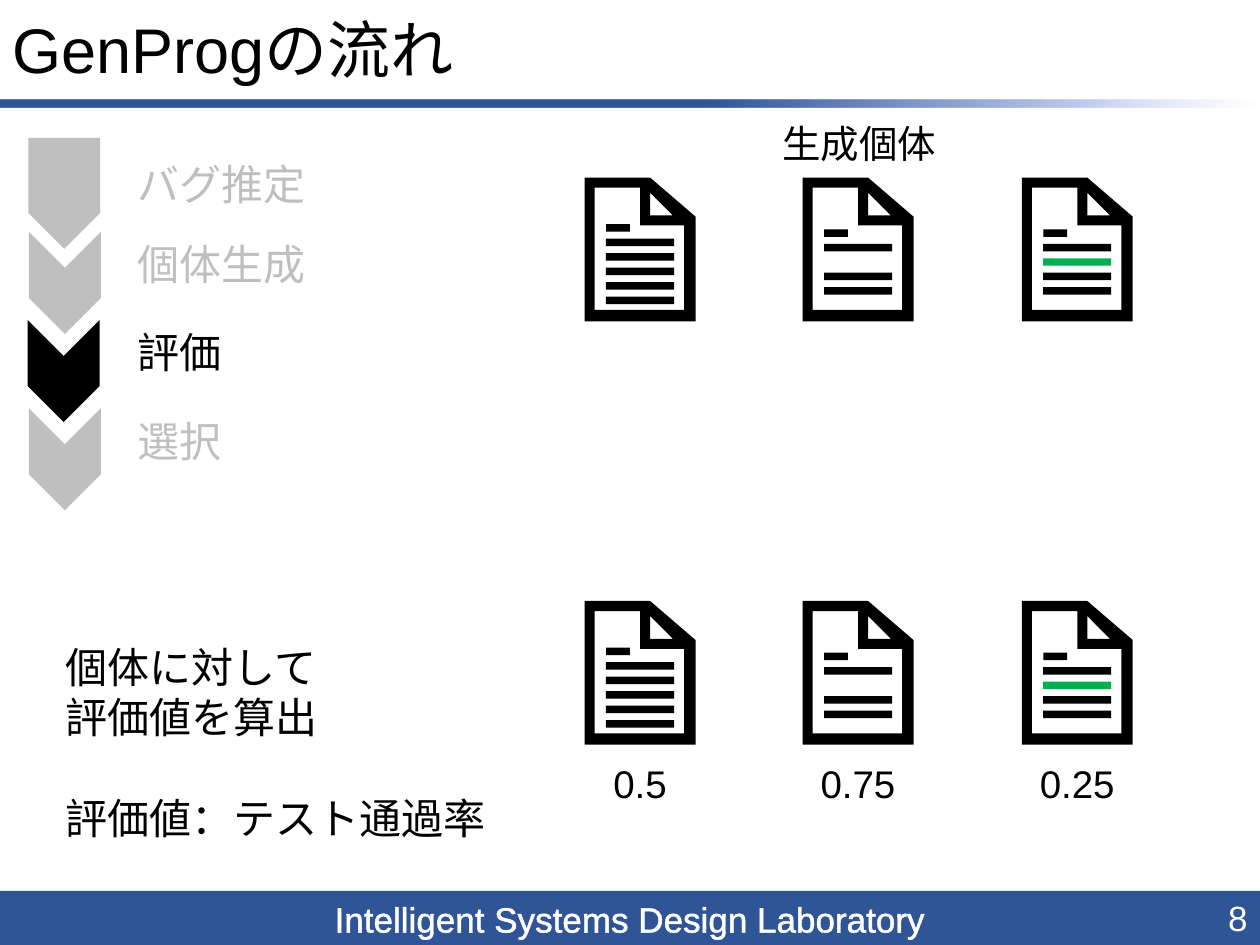
from lxml import etree
from pptx import Presentation
from pptx import util as u
from pptx.dml.color import RGBColor
from pptx.enum import shapes, text
from pptx.oxml import ns

Inches = u.Inches
LEFT, CENTER, RIGHT = text.PP_ALIGN.LEFT, text.PP_ALIGN.CENTER, text.PP_ALIGN.RIGHT
BLUE, GREY, BLACK, WHITE, GREEN = "2F5597", "BFBFBF", "000000", "FFFFFF", "00B050"


def paint(target, color):
    target.fill.solid()
    target.fill.fore_color.rgb = RGBColor.from_string(color)


def write(box, words, size, color, align=LEFT, wrap=True):
    box.text_frame.text = words
    box.text_frame.word_wrap = wrap
    for paragraph in box.text_frame.paragraphs:
        paragraph.alignment = align
        for run in paragraph.runs:
            run.font.size = u.Pt(size)
            run.font.name = "Arial"
            paint(run.font, color)


deck = Presentation()
deck.slide_width, deck.slide_height = Inches(10), Inches(7.5)
slide = deck.slides.add_slide(deck.slide_layouts[5])
canvas = slide.shapes

footer = canvas.add_shape(shapes.MSO_SHAPE.RECTANGLE, 0, Inches(7.07), Inches(10), Inches(0.44))
paint(footer, BLUE)
write(footer, "Intelligent Systems Design Laboratory", 20, WHITE, CENTER)
footer_font = footer.text_frame.paragraphs[0].runs[0].font
outline = etree.fromstring(
    f'<a:ln {ns.nsdecls("a")} w="9525"><a:solidFill><a:srgbClr val="{WHITE}"/></a:solidFill></a:ln>')
footer.text_frame.paragraphs[0].runs[0]._r.get_or_add_rPr().insert(0, outline)

rule = canvas.add_shape(shapes.MSO_SHAPE.RECTANGLE, 0, Inches(0.79), Inches(10), Inches(0.06))
rule.fill.gradient()
rule.fill.gradient_angle = 0
stops = rule.fill._fill._gradFill.find(ns.qn("a:gsLst"))
for stop in list(stops):
    stops.remove(stop)
for position, color, alpha in [(56, BLUE, 100), (86, "C0CBF0", 100), (100, "E0E5F7", 0)]:
    stop = etree.SubElement(stops, ns.qn("a:gs"), pos=str(position * 1000))
    shade = etree.SubElement(stop, ns.qn("a:srgbClr"), val=color)
    etree.SubElement(shade, ns.qn("a:alpha"), val=str(alpha * 1000))

title = canvas.title
title.left, title.top, title.width, title.height = 0, Inches(0.05), Inches(10), Inches(0.74)
write(title, "GenProgの流れ", 36, BLACK)
title.text_frame.vertical_anchor = text.MSO_ANCHOR.MIDDLE
title.text_frame.paragraphs[0].line_spacing = 0.9

page = canvas.add_textbox(Inches(7.75), Inches(7.07), Inches(2.25), Inches(0.43))
write(page, "8", 20, WHITE, RIGHT)
page.text_frame.vertical_anchor = text.MSO_ANCHOR.MIDDLE

PENTAGON, CHEVRON = shapes.MSO_SHAPE.PENTAGON, shapes.MSO_SHAPE.CHEVRON
steps = [
    ("バグ推定", PENTAGON, 0.07, 1.25, 0.88, 1.21, GREY),
    ("個体生成", CHEVRON, 0.11, 1.96, 0.81, 1.84, GREY),
    ("評価", CHEVRON, 0.1, 2.66, 0.81, 2.54, BLACK),
    ("選択", CHEVRON, 0.11, 3.36, 0.81, 3.25, GREY),
]
for name, preset, left, top, length, name_top, color in steps:
    arrow = canvas.add_shape(preset, Inches(left), Inches(top), Inches(length), Inches(0.57))
    arrow.rotation = 90
    paint(arrow, color)
    step_name = canvas.add_textbox(Inches(0.99), Inches(name_top), Inches(2.28), Inches(0.5))
    write(step_name, name, 24, color)

summary = canvas.add_textbox(Inches(0.42), Inches(5.04), Inches(3.56), Inches(1.72))
write(summary, "個体に対して\v評価値を算出\n評価値：テスト通過率", 24, BLACK)
summary.text_frame.paragraphs[1].space_before = u.Pt(29)

page_inside = [(8, 105), (8, 8), (44, 8), (44, 38), (79, 38), (79, 105)]
folded_corner = [(52, 12), (70, 30), (52, 30)]
page_edge = [(52, 0), (0, 0), (0, 114), (88, 114), (88, 31)]
variants = [
    (4.64, 0.37, [BLACK] * 6, "0.5"),
    (6.37, 0.41, [BLACK, BLACK, None, BLACK, BLACK], "0.75"),
    (8.11, 0.41, [BLACK, BLACK, GREEN, BLACK, BLACK], "0.25"),
]
for top in (1.41, 4.77):
    for left, first_line, code_lines, score in variants:
        sheet = canvas.build_freeform(*page_inside[0], scale=Inches(0.01))
        sheet.add_line_segments(page_inside[1:])
        for contour in (folded_corner, page_edge):
            sheet.move_to(*contour[0])
            sheet.add_line_segments(contour[1:])
        document = sheet.convert_to_shape(Inches(left), Inches(top))
        paint(document, BLACK)
        for row, color in enumerate(code_lines):
            if color:
                code_line = canvas.add_shape(
                    shapes.MSO_SHAPE.RECTANGLE, Inches(left + 0.17),
                    Inches(top + first_line + row * 0.115),
                    Inches(0.54 if row else 0.19), Inches(0.06))
                paint(code_line, color)

captions = [(left + 0.44, 5.98, 0.8, score) for left, _, _, score in variants]
captions.append((6.82, 0.9, 1.44, "生成個体"))
for center, top, width, words in captions:
    caption = canvas.add_textbox(Inches(center - width / 2), Inches(top), Inches(width), Inches(0.47))
    write(caption, words, 22, BLACK, CENTER, wrap=False)

for part in canvas:
    if part.shape_type in (shapes.MSO_SHAPE_TYPE.AUTO_SHAPE, shapes.MSO_SHAPE_TYPE.FREEFORM):
        part.shadow.inherit = False
        part.line.fill.background()

deck.save("out.pptx")
